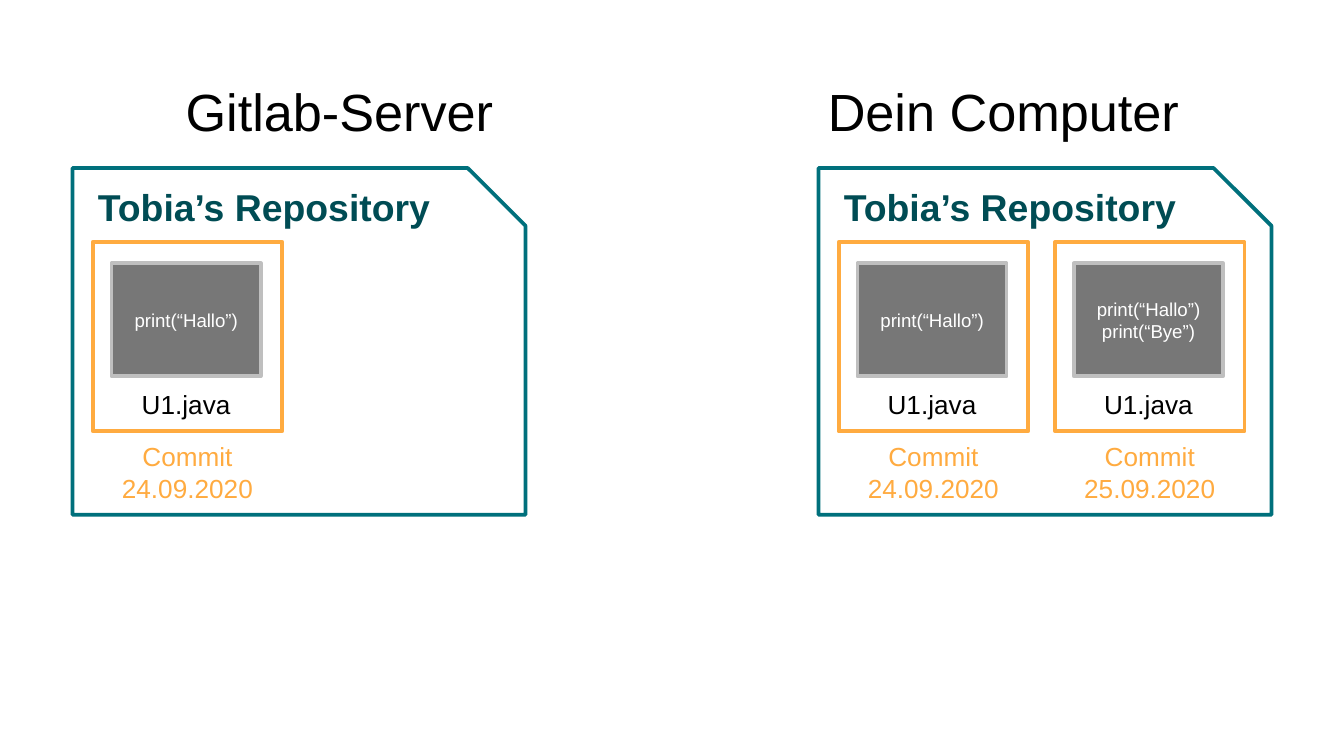
from pptx import Presentation
from pptx.dml.color import RGBColor
from pptx.enum.shapes import MSO_SHAPE
from pptx.enum.text import MSO_ANCHOR, PP_ALIGN
from pptx.util import Inches, Pt

RECTANGLE, SNIPPED = MSO_SHAPE.RECTANGLE, MSO_SHAPE.SNIP_1_RECTANGLE
LEFT, CENTER = PP_ALIGN.LEFT, PP_ALIGN.CENTER
TOP, MIDDLE = MSO_ANCHOR.TOP, MSO_ANCHOR.MIDDLE

FONT = "Arial"
BLACK, WHITE = "000000", "FFFFFF"
TEAL, DARK_TEAL, ORANGE = "00707C", "004C54", "FFAB40"
GRAY, LIGHT_GRAY = "777777", "BFBFBF"

REPOSITORY = "Tobia’s Repository"
FILE_NAME = "U1.java"
FIRST_COMMIT = ("Commit 24.09.2020", ["print(“Hallo”)"])
SECOND_COMMIT = ("Commit 25.09.2020", ["print(“Hallo”)", "print(“Bye”)"])
MACHINES = [
    ("Gitlab-Server", 0.34, [FIRST_COMMIT]),
    ("Dein Computer", 5.28, [FIRST_COMMIT, SECOND_COMMIT]),
]

SLIDE_WIDTH = 10
SLIDE_HEIGHT = SLIDE_WIDTH * 9 / 16
HEADING_WIDTH = 4.37
REPOSITORY_LEFT, REPOSITORY_TOP = 0.54, 1.25
REPOSITORY_WIDTH, REPOSITORY_HEIGHT = 3.37, 2.58
REPOSITORY_PITCH = 5.55
COMMIT_SIZE, COMMIT_PITCH = 1.41, 1.61
FILE_WIDTH, FILE_HEIGHT = 1.11, 0.84


def color(value):
    return RGBColor.from_string(value)


def write(shape, lines, size, text_color, align=CENTER, anchor=TOP, bold=False, inset=0.05):
    frame = shape.text_frame
    frame.word_wrap = True
    frame.vertical_anchor = anchor
    frame.margin_left = frame.margin_right = Inches(0.1)
    frame.margin_top = frame.margin_bottom = Inches(inset)
    frame.text = "\n".join(lines)
    for para in frame.paragraphs:
        para.alignment = align
        para.font.name = FONT
        para.font.size = Pt(size)
        para.font.bold = bold
        para.font.color.rgb = color(text_color)


def add_label(page, place, text, size, text_color, **style):
    box = page.shapes.add_textbox(*map(Inches, place))
    write(box, [text], size, text_color, **style)


def add_frame(page, kind, place, line, fill=None):
    shape = page.shapes.add_shape(kind, *map(Inches, place))
    shape.shadow.inherit = False
    shape.line.color.rgb = color(line)
    shape.line.width = Pt(2)
    if fill:
        shape.fill.solid()
        shape.fill.fore_color.rgb = color(fill)
    else:
        shape.fill.background()
    return shape


def add_commit(page, left, top, label, code):
    file_left = left + 0.14
    file_box = add_frame(page, RECTANGLE, (file_left, top + 0.16, FILE_WIDTH, FILE_HEIGHT),
                         LIGHT_GRAY, GRAY)
    write(file_box, code, 10, WHITE, anchor=MIDDLE)
    add_label(page, (file_left, top + 1.04, FILE_WIDTH, 0.34), FILE_NAME, 14, BLACK)
    add_frame(page, RECTANGLE, (left, top, COMMIT_SIZE, COMMIT_SIZE), ORANGE)
    add_label(page, (left, top + 1.43, COMMIT_SIZE, 0.57), label, 14, ORANGE)


def add_repository(page, left, top, commits):
    add_frame(page, SNIPPED, (left, top, REPOSITORY_WIDTH, REPOSITORY_HEIGHT), TEAL)
    add_label(page, (left + 0.09, top + 0.07, 2.86, 0.41), REPOSITORY, 20, DARK_TEAL,
              align=LEFT, bold=True)
    for column, (label, code) in enumerate(commits):
        add_commit(page, left + 0.15 + column * COMMIT_PITCH, top + 0.55, label, code)


def main():
    deck = Presentation()
    deck.slide_width, deck.slide_height = Inches(SLIDE_WIDTH), Inches(SLIDE_HEIGHT)
    page = deck.slides.add_slide(deck.slide_layouts[6])
    for index, (heading, heading_left, commits) in enumerate(MACHINES):
        add_label(page, (heading_left, 0.49, HEADING_WIDTH, 0.63), heading, 28, BLACK, inset=0.1)
        add_repository(page, REPOSITORY_LEFT + index * REPOSITORY_PITCH, REPOSITORY_TOP, commits)
    deck.save("out.pptx")


if __name__ == "__main__":
    main()
